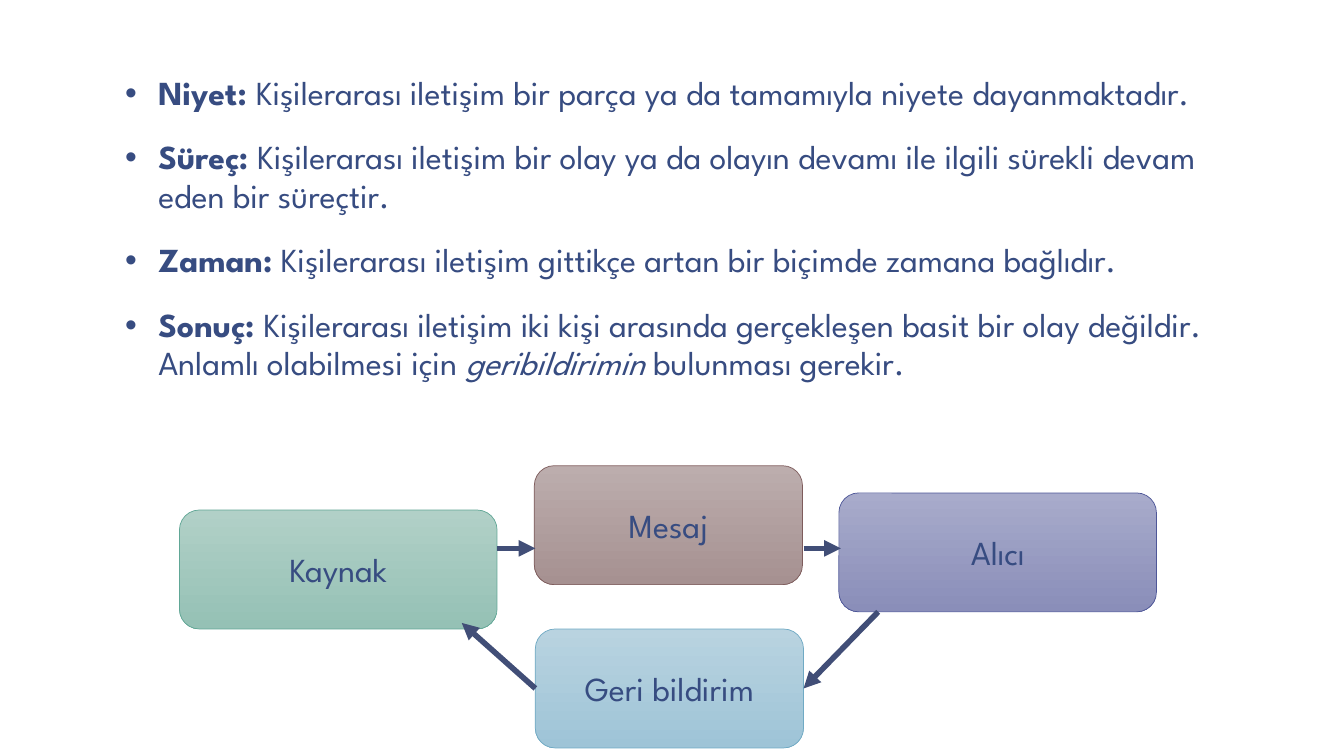
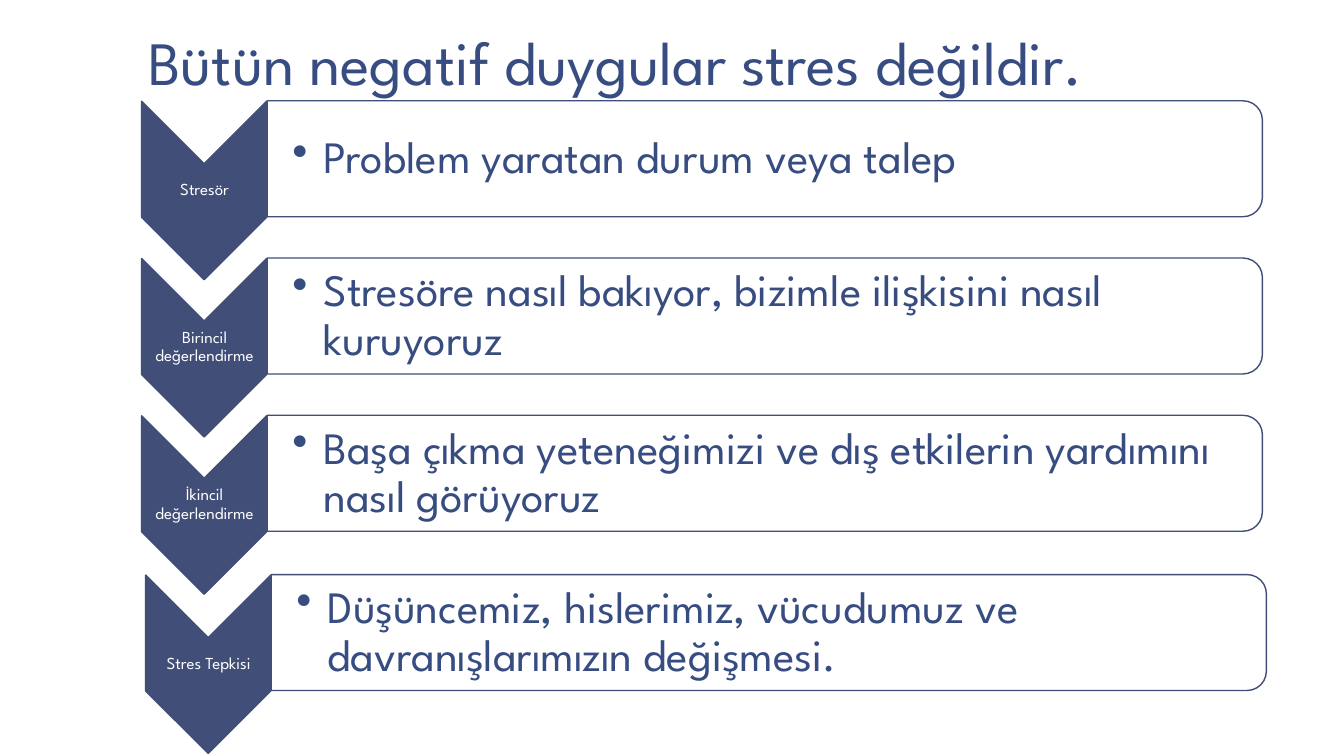
from lxml import etree
from pptx import Presentation
from pptx.dml.color import RGBColor
from pptx.enum.shapes import MSO_CONNECTOR, MSO_SHAPE
from pptx.enum.text import MSO_ANCHOR, MSO_AUTO_SIZE, PP_ALIGN
from pptx.oxml.ns import qn
from pptx.util import Inches, Pt

FONT = "League Spartan"
INK = "374C81"
NAVY = "414E77"
WHITE = "FFFFFF"


def rgb(color):
    return RGBColor.from_string(color)


def write(tf, *runs, size=24, color=INK, align=PP_ALIGN.LEFT, spacing=1.0, before=0,
          indent=0, anchor=MSO_ANCHOR.MIDDLE, inset=(0.1, 0.05, 0.1, 0.05)):
    """Add a paragraph; each run is a string or a (text, "b" or "i") pair."""
    tf.word_wrap = True
    tf.auto_size = MSO_AUTO_SIZE.NONE
    tf.vertical_anchor = anchor
    tf.margin_left, tf.margin_top, tf.margin_right, tf.margin_bottom = map(Inches, inset)
    p = tf.add_paragraph() if tf.text else tf.paragraphs[0]
    if indent:
        pPr = p._p.get_or_add_pPr()
        pPr.set("marL", str(Inches(indent)))
        pPr.set("indent", str(-Inches(indent)))
        etree.SubElement(pPr, qn("a:buChar")).set("char", "•")
    p.alignment = align
    p.line_spacing = spacing
    p.space_before = Pt(before)
    for run in runs:
        text, style = (run, "") if isinstance(run, str) else run
        r = p.add_run()
        r.text = text
        r.font.name = FONT
        r.font.size = Pt(size)
        r.font.color.rgb = rgb(color)
        r.font.bold = style == "b"
        r.font.italic = style == "i"


prs = Presentation()
prs.slide_width, prs.slide_height = Inches(13.33), Inches(7.5)
PLACEHOLDER_INSET = (0.13, 0.07, 0.13, 0.07)

# Slide 1: elements of communication and the feedback loop
s = prs.slides.add_slide(prs.slide_layouts[1])
s.shapes.title.element.getparent().remove(s.shapes.title.element)
body = s.placeholders[1]
body.left, body.top, body.width, body.height = map(Inches, (1.11, 0.67, 11.11, 3.7))
items = [
    [("Niyet: ", "b"), "Kişilerarası iletişim bir parça ya da tamamıyla niyete dayanmaktadır."],
    [("Süreç: ", "b"), "Kişilerarası iletişim bir olay ya da olayın devamı ile ilgili "
     "sürekli devam eden bir süreçtir."],
    [("Zaman:", "b"), " Kişilerarası iletişim gittikçe artan bir biçimde zamana bağlıdır."],
    [("Sonuç: ", "b"), "Kişilerarası iletişim iki kişi arasında gerçekleşen basit bir olay "
     "değildir. Anlamlı olabilmesi için ", ("geribildirimin", "i"), " bulunması gerekir."],
]
for i, runs in enumerate(items):
    write(body.text_frame, *runs, spacing=0.95, before=18.7 if i else 0, indent=0.33,
          anchor=MSO_ANCHOR.TOP, inset=PLACEHOLDER_INSET)

boxes = {}
for name, x, y, w, light, dark, edge in [
    ("Kaynak", 1.78, 5.06, 3.15, "B1D0C7", "95C1B5", "61A796"),
    ("Alıcı", 8.32, 4.89, 3.15, "A8ABCB", "8A8EB9", "4E5798"),
    ("Mesaj", 5.3, 4.62, 2.66, "BCADAD", "A69191", "7E5C5C"),
    ("Geri bildirim", 5.31, 6.24, 2.66, "B9D3E0", "9EC4D7", "70AAC4"),
]:
    sp = s.shapes.add_shape(MSO_SHAPE.ROUNDED_RECTANGLE, Inches(x), Inches(y), Inches(w), Inches(1.18))
    sp.shadow.inherit = False
    sp.fill.gradient()
    sp.fill.gradient_angle = 270
    for stop, color in zip(sp.fill.gradient_stops, (light, dark)):
        stop.color.rgb = rgb(color)
    sp.line.color.rgb = rgb(edge)
    sp.line.width = Pt(0.5)
    write(sp.text_frame, name, align=PP_ALIGN.CENTER)
    boxes[name] = sp

arrows = []
for ends in [
    (8.71, 6.07, 7.97, 6.83),
    (4.93, 5.44, 5.31, 5.44),
    (7.97, 5.44, 8.34, 5.44),
    (5.31, 6.83, 4.58, 6.18),
]:
    arrow = s.shapes.add_connector(MSO_CONNECTOR.STRAIGHT, *map(Inches, ends))
    arrow.line.color.rgb = rgb(NAVY)
    arrow.line.width = Pt(4)
    etree.SubElement(arrow.line._get_or_add_ln(), qn("a:tailEnd")).set("type", "triangle")
    etree.SubElement(arrow._element.spPr, qn("a:effectLst"))
    arrows.append(arrow)
arrows[0].end_connect(boxes["Geri bildirim"], 3)
arrows[3].begin_connect(boxes["Geri bildirim"], 1)

# Slide 2: the stress process
s = prs.slides.add_slide(prs.slide_layouts[5])
title = s.shapes.title
title.left, title.top, title.width, title.height = map(Inches, (1.34, 0, 11.11, 1.04))
write(title.text_frame, "Bütün negatif duygular stres değildir.", size=44, spacing=0.85,
      anchor=MSO_ANCHOR.BOTTOM, inset=PLACEHOLDER_INSET)

steps = [
    ("Stresör", "Problem yaratan durum veya talep"),
    ("Birincil değerlendirme", "Stresöre nasıl bakıyor, bizimle ilişkisini nasıl kuruyoruz"),
    ("İkincil değerlendirme", "Başa çıkma yeteneğimizi ve dış etkilerin yardımını nasıl görüyoruz"),
    ("Stres Tepkisi", "Düşüncemiz, hislerimiz, vücudumuz ve davranışlarımızın değişmesi."),
]
PITCH = 1.56
for i, (stage, description) in enumerate(steps):
    last = i == len(steps) - 1
    dx, dy = (0.04 if last else 0), i * PITCH + (0.02 if last else 0)
    for kind, x, y, w, h, fill in [
        (MSO_SHAPE.CHEVRON, 1.14, 1.27, 1.77, 1.24, NAVY),
        (MSO_SHAPE.ROUND_2_SAME_RECTANGLE, 7.01, -3.36, 1.15, 9.87, WHITE),
    ]:
        sp = s.shapes.add_shape(kind, Inches(x + dx), Inches(y + dy), Inches(w), Inches(h))
        sp.rotation = 90
        sp.shadow.inherit = False
        sp.fill.solid()
        sp.fill.fore_color.rgb = rgb(fill)
        sp.line.color.rgb = rgb(NAVY)
        sp.line.width = Pt(1)
    label = s.shapes.add_textbox(Inches(1.41 + dx), Inches(1.62 + dy), Inches(1.24), Inches(0.53))
    write(label.text_frame, stage, size=12, color=WHITE, align=PP_ALIGN.CENTER, spacing=0.9,
          inset=(0.01, 0.01, 0.01, 0.01))
    detail = s.shapes.add_textbox(Inches(2.65 + dx), Inches(1.06 + dy), Inches(9.81), Inches(1.04))
    write(detail.text_frame, description, size=32, spacing=0.9, indent=0.31,
          inset=(0.25, 0.02, 0.02, 0.02))

prs.save("out.pptx")
